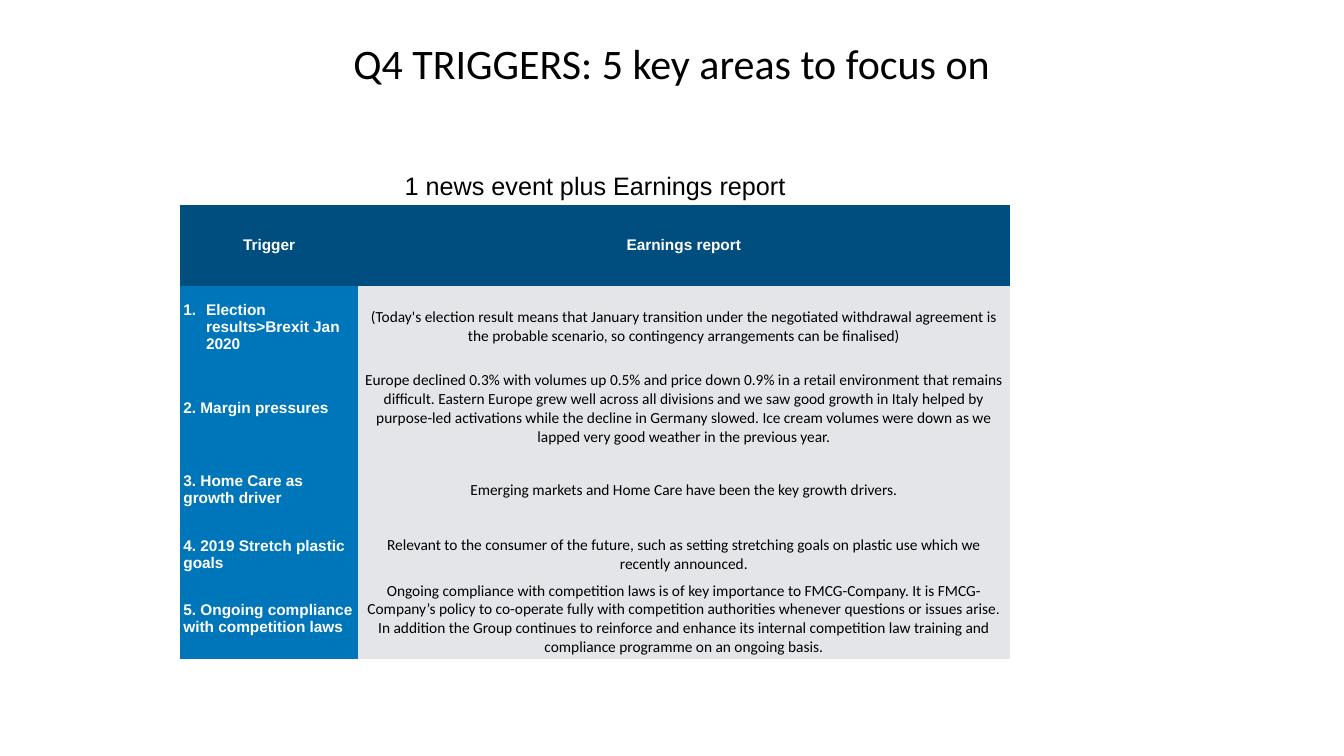
from lxml.etree import SubElement
from pptx import Presentation
from pptx.dml.color import RGBColor
from pptx.enum.text import MSO_ANCHOR, PP_ALIGN
from pptx.oxml.ns import qn
from pptx.util import Inches, Pt

COLORS = {"black": "000000", "white": "FFFFFF", "header": "004D80",
          "trigger": "0076BA", "report": "E3E5E8"}
NO_GRID_STYLE = "{2D5ABB26-0587-4C30-8999-92F81FD0307C}"

CAPTION = "1 news event plus Earnings report"
HEADERS = ("Trigger", "Earnings report")
TRIGGERS = [
    ("Election results>Brexit Jan 2020",
     "(Today's election result means that January transition under the negotiated "
     "withdrawal agreement is the probable scenario, so contingency arrangements "
     "can be finalised)"),
    ("2. Margin pressures",
     "Europe declined 0.3% with volumes up 0.5% and price down 0.9% in a retail "
     "environment that remains difficult. Eastern Europe grew well across all "
     "divisions and we saw good growth in Italy helped by purpose-led activations "
     "while the decline in Germany slowed. Ice cream volumes were down as we lapped "
     "very good weather in the previous year."),
    ("3. Home Care as growth driver",
     "Emerging markets and Home Care have been the key growth drivers."),
    ("4. 2019 Stretch plastic goals",
     "Relevant to the consumer of the future, such as setting stretching goals on "
     "plastic use which we recently announced."),
    ("5. Ongoing compliance with competition laws",
     "Ongoing compliance with competition laws is of key importance to FMCG-Company. "
     "It is FMCG-Company’s policy to co-operate fully with competition authorities "
     "whenever questions or issues arise. In addition the Group continues to "
     "reinforce and enhance its internal competition law training and compliance "
     "programme on an ongoing basis."),
]


def style_text(tf, size, font, color, bold=False, align=PP_ALIGN.CENTER):
    p = tf.paragraphs[0]
    p.alignment = align
    f = p.runs[0].font
    f.size, f.name, f.bold = Pt(size), font, bold
    f.color.rgb = RGBColor.from_string(COLORS[color])


def fill_cell(cell, text, fill, size, font, color, bold=False, align=PP_ALIGN.CENTER):
    cell.text_frame.text = text
    cell.vertical_anchor = MSO_ANCHOR.MIDDLE
    cell.margin_left = cell.margin_right = Inches(0.06)
    cell.margin_top = cell.margin_bottom = Inches(0.06)
    if fill:
        cell.fill.solid()
        cell.fill.fore_color.rgb = RGBColor.from_string(COLORS[fill])
    else:
        cell.fill.background()
    style_text(cell.text_frame, size, font, color, bold, align)


prs = Presentation()
prs.slide_width, prs.slide_height = Inches(26.67), Inches(15)
col, row = prs.slide_width / 100, prs.slide_height / 100
s = prs.slides.add_slide(prs.slide_layouts[5])

title = s.shapes.title
title.left, title.top = int(16.24 * col), 0
title.width, title.height = int(67.5 * col), int(16.67 * row)
tf = title.text_frame
tf.text = "Q4 TRIGGERS: 5 key areas to focus on"
tf.word_wrap = True
tf.vertical_anchor = MSO_ANCHOR.MIDDLE
tf.margin_left = tf.margin_right = tf.margin_top = tf.margin_bottom = Inches(0.1)
style_text(tf, 60, "Calibri", "black")

col_widths = [13.2, 48.52]
row_heights = [4.73, 10.8, 10.8, 10.8, 10.73, 6.33, 10.07]
frame = s.shapes.add_table(len(row_heights), len(col_widths),
                           int(13.42 * col), int(22.33 * row),
                           int(sum(col_widths) * col), int(sum(row_heights) * row))
table = frame.table
table.first_row = table.horz_banding = False
table._tbl.tblPr.find(qn("a:tableStyleId")).text = NO_GRID_STYLE
for c, width in zip(table.columns, col_widths):
    c.width = int(width * col)
for r, height in zip(table.rows, row_heights):
    r.height = int(height * row)

table.cell(0, 0).merge(table.cell(0, 1))
fill_cell(table.cell(0, 0), CAPTION, None, 36, "Arial", "black")
for i, header in enumerate(HEADERS):
    fill_cell(table.cell(1, i), header, "header", 22, "Arial", "white", True)
for i, (trigger, report) in enumerate(TRIGGERS, start=2):
    fill_cell(table.cell(i, 0), trigger, "trigger", 22, "Arial", "white", True, PP_ALIGN.LEFT)
    fill_cell(table.cell(i, 1), report, "report", 22, "Calibri", "black")

pPr = table.cell(2, 0).text_frame.paragraphs[0]._p.get_or_add_pPr()
pPr.set("marL", str(Inches(0.45)))
pPr.set("indent", str(-Inches(0.45)))
SubElement(pPr, qn("a:buFont"), typeface="+mj-lt")
SubElement(pPr, qn("a:buAutoNum"), type="arabicPeriod")

prs.save("out.pptx")
